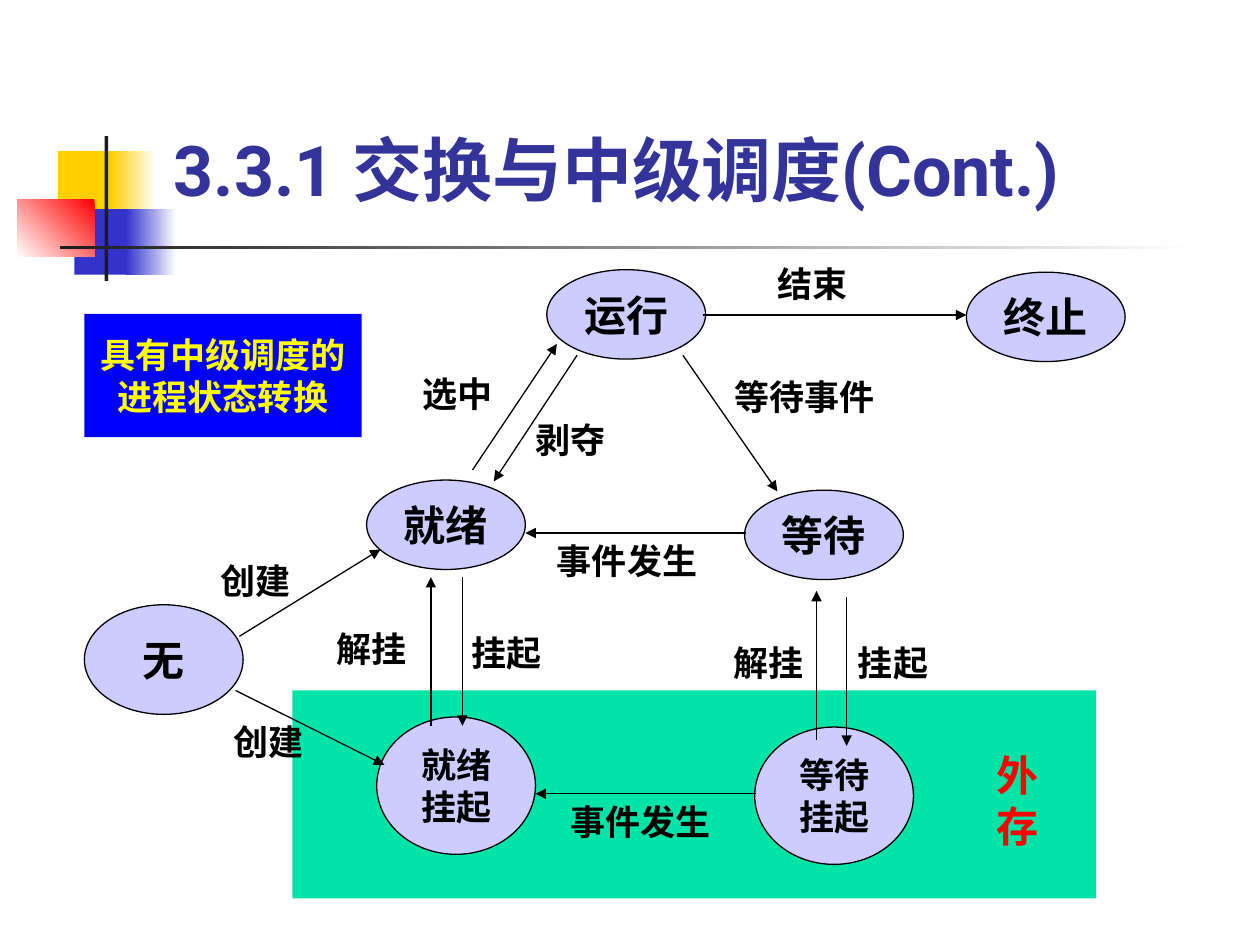
from lxml import etree
from pptx import Presentation
from pptx.dml.color import RGBColor
from pptx.enum.shapes import MSO_CONNECTOR, MSO_SHAPE
from pptx.enum.text import MSO_ANCHOR, PP_ALIGN
from pptx.oxml.ns import qn
from pptx.util import Inches, Pt

RECTANGLE = MSO_SHAPE.RECTANGLE
OVAL = MSO_SHAPE.OVAL
STRAIGHT = MSO_CONNECTOR.STRAIGHT
TOP, MIDDLE, BOTTOM = MSO_ANCHOR.TOP, MSO_ANCHOR.MIDDLE, MSO_ANCHOR.BOTTOM
LEFT, CENTER = PP_ALIGN.LEFT, PP_ALIGN.CENTER

BODY_FONT = "Times New Roman"
BLACK = "000000"
NODE_WIDTH = 1.26

BARS = [
    (0.46, 1.2, 0.48, 0.52, ["FFCF01"], 0),
    (0.88, 1.2, 0.36, 0.52, ["FFFFFF", "FFCF01"], 180),
    (0.59, 1.66, 0.46, 0.52, ["3333CC"], 0),
    (1, 1.66, 0.4, 0.52, ["FFFFFF", "3333CC"], 180),
    (0.14, 1.58, 0.61, 0.46, ["FF0000", "FFFFFF"], 225),
    (0.83, 1.08, 0.03, 1.15, ["1C1C1C"], 0),
    (0.48, 1.95, 9, 0.03, ["FFFFFF", "1C1C1C"], 180),
]

STATES = [
    ("就绪", 2.91, 3.81, 0.71, 24),
    ("等待", 5.91, 3.89, 0.71, 24),
    ("运行", 4.34, 2.14, 0.71, 24),
    ("终止", 7.67, 2.16, 0.71, 24),
    ("无", 0.67, 4.8, 0.87, 24),
    ("就绪\n挂起", 2.99, 5.69, 1.09, 20),
    ("等待\n挂起", 5.99, 5.77, 1.09, 20),
]

TRANSITIONS = [
    (4.58, 2.82, 3.92, 3.82),
    (3.75, 3.73, 4.42, 2.73),
    (5.42, 2.82, 6.17, 3.9),
    (5.92, 4.23, 4.17, 4.23),
    (1.9, 5.05, 3.02, 4.36),
    (1.87, 5.48, 3.05, 6.07),
    (5.58, 2.5, 7.67, 2.5),
    (3.67, 4.58, 3.67, 5.76),
    (3.42, 5.76, 3.42, 4.58),
    (6, 6.3, 4.25, 6.3),
    (6.48, 5.87, 6.48, 4.69),
    (6.72, 4.74, 6.72, 5.92),
]

EVENTS = [
    ("剥夺", 4.25, 3.32, 0.67),
    ("等待事件", 5.83, 2.98, 1.14),
    ("事件发生", 4.42, 4.28, 1.21),
    ("选中", 3.35, 2.96, 0.63),
    ("创建", 1.75, 4.44, 0.65),
    ("创建", 1.85, 5.72, 0.65),
    ("结束", 6.17, 2.08, 0.64),
    ("挂起", 3.74, 5.01, 0.63),
    ("解挂", 2.67, 4.98, 0.6),
    ("事件发生", 4.53, 6.35, 1.21),
    ("解挂", 5.82, 5.09, 0.6),
    ("挂起", 6.81, 5.09, 0.63),
]


def color(hex_value):
    return RGBColor.from_string(hex_value)


def write_text(holder, text, size, ink=BLACK, font=BODY_FONT, align=LEFT,
               anchor=TOP, margins=(0, 0), wrap=True):
    frame = holder.text_frame
    frame.text = text
    frame.word_wrap = wrap
    frame.vertical_anchor = anchor
    frame.margin_left = frame.margin_right = Inches(margins[0])
    frame.margin_top = frame.margin_bottom = Inches(margins[1])
    for paragraph in frame.paragraphs:
        paragraph.alignment = align
        paragraph.font.size = Pt(size)
        paragraph.font.name = font
        paragraph.font.bold = True
        paragraph.font.color.rgb = color(ink)


def add_filled(slide, kind, left, top, width, height, colors, angle=0):
    filled = slide.shapes.add_shape(
        kind, Inches(left), Inches(top), Inches(width), Inches(height))
    filled.shadow.inherit = False
    filled.line.fill.background()
    if len(colors) == 1:
        filled.fill.solid()
        filled.fill.fore_color.rgb = color(colors[0])
    else:
        filled.fill.gradient()
        filled.fill.gradient_angle = angle
        for stop, hex_value in zip(filled.fill.gradient_stops, colors):
            stop.color.rgb = color(hex_value)
    return filled


def add_state(slide, name, left, top, height, size):
    state = add_filled(slide, OVAL, left, top, NODE_WIDTH, height, ["CCCCFF"])
    state.line.color.rgb = color(BLACK)
    state.line.width = Pt(0.75)
    write_text(state, name, size, align=CENTER, anchor=MIDDLE,
               margins=(0.1, 0.05), wrap=False)


def add_transition(slide, *ends):
    arrow = slide.shapes.add_connector(STRAIGHT, *map(Inches, ends))
    arrow.line.color.rgb = color(BLACK)
    arrow.line.width = Pt(0.75)
    properties = arrow.element.spPr
    etree.SubElement(properties.find(qn("a:ln")), qn("a:tailEnd"), type="triangle")
    etree.SubElement(properties, qn("a:effectLst"))


def add_label(slide, text, left, top, width, height=0.33, size=20, ink=BLACK):
    label = slide.shapes.add_textbox(
        Inches(left), Inches(top), Inches(width), Inches(height))
    write_text(label, text, size, ink)


def set_title(slide, text):
    title = slide.shapes.title
    title.left, title.top = Inches(1.38), Inches(1)
    title.width, title.height = Inches(7.64), Inches(0.67)
    write_text(title, text, 40, "333399", "Roboto", anchor=BOTTOM)


def main():
    deck = Presentation()
    deck.slide_width, deck.slide_height = Inches(10), Inches(7.5)
    slide = deck.slides.add_slide(deck.slide_layouts[5])
    for left, top, width, height, colors, angle in BARS:
        add_filled(slide, RECTANGLE, left, top, width, height, colors, angle)
    set_title(slide, "3.3.1 交换与中级调度(Cont.)")
    add_filled(slide, RECTANGLE, 2.32, 5.48, 6.38, 1.65, ["00E4A8"])
    for state in STATES:
        add_state(slide, *state)
    for transition in TRANSITIONS:
        add_transition(slide, *transition)
    for event in EVENTS:
        add_label(slide, *event)
    caption = add_filled(slide, RECTANGLE, 0.67, 2.49, 2.2, 0.98, ["0000FF"])
    write_text(caption, "具有中级调度的进程状态转换", 20, "FFFF00",
               align=CENTER, margins=(0.08, 0.16))
    add_label(slide, "外存", 7.91, 5.95, 0.47, 0.8, 24, "FF0000")
    deck.save("out.pptx")


if __name__ == "__main__":
    main()
